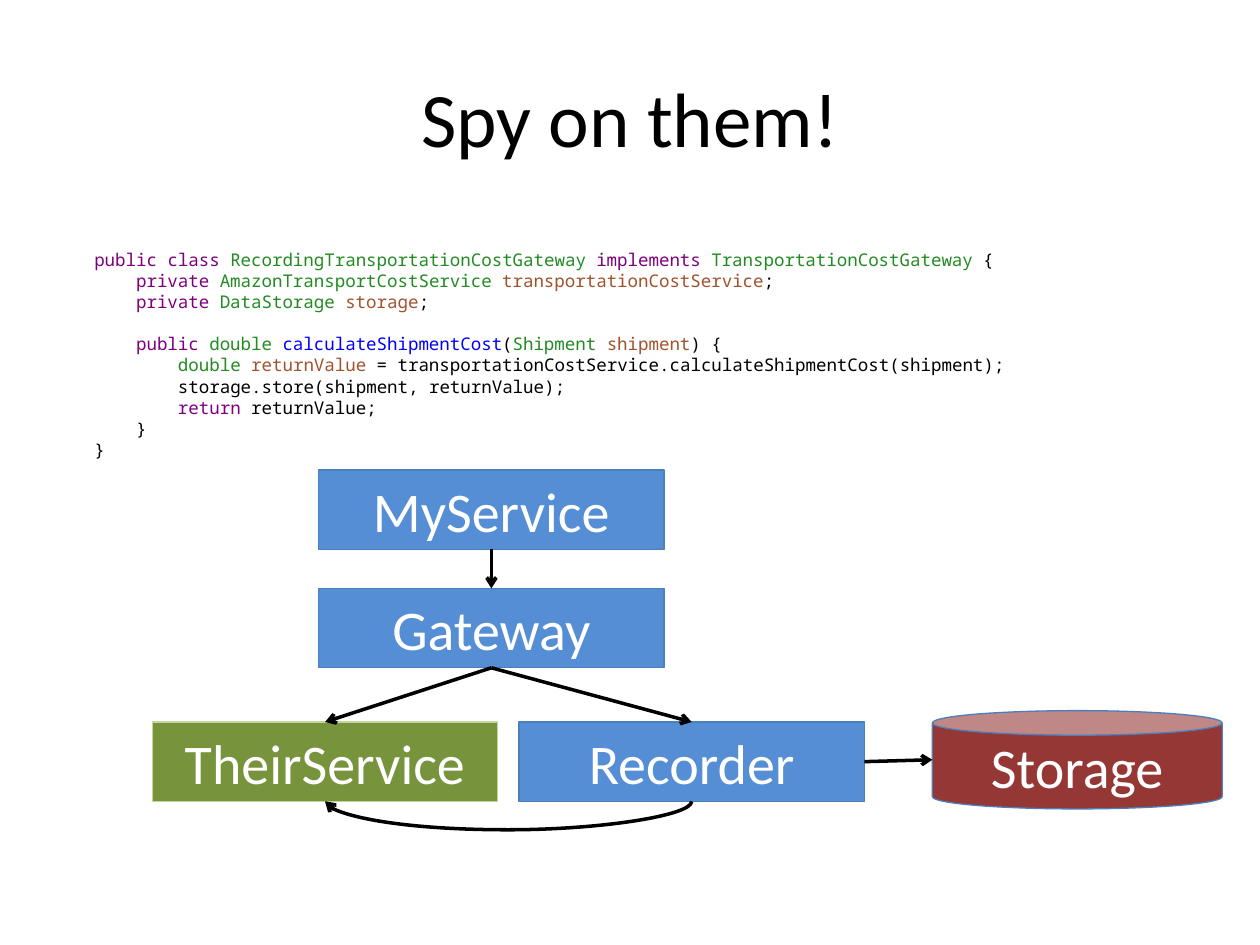
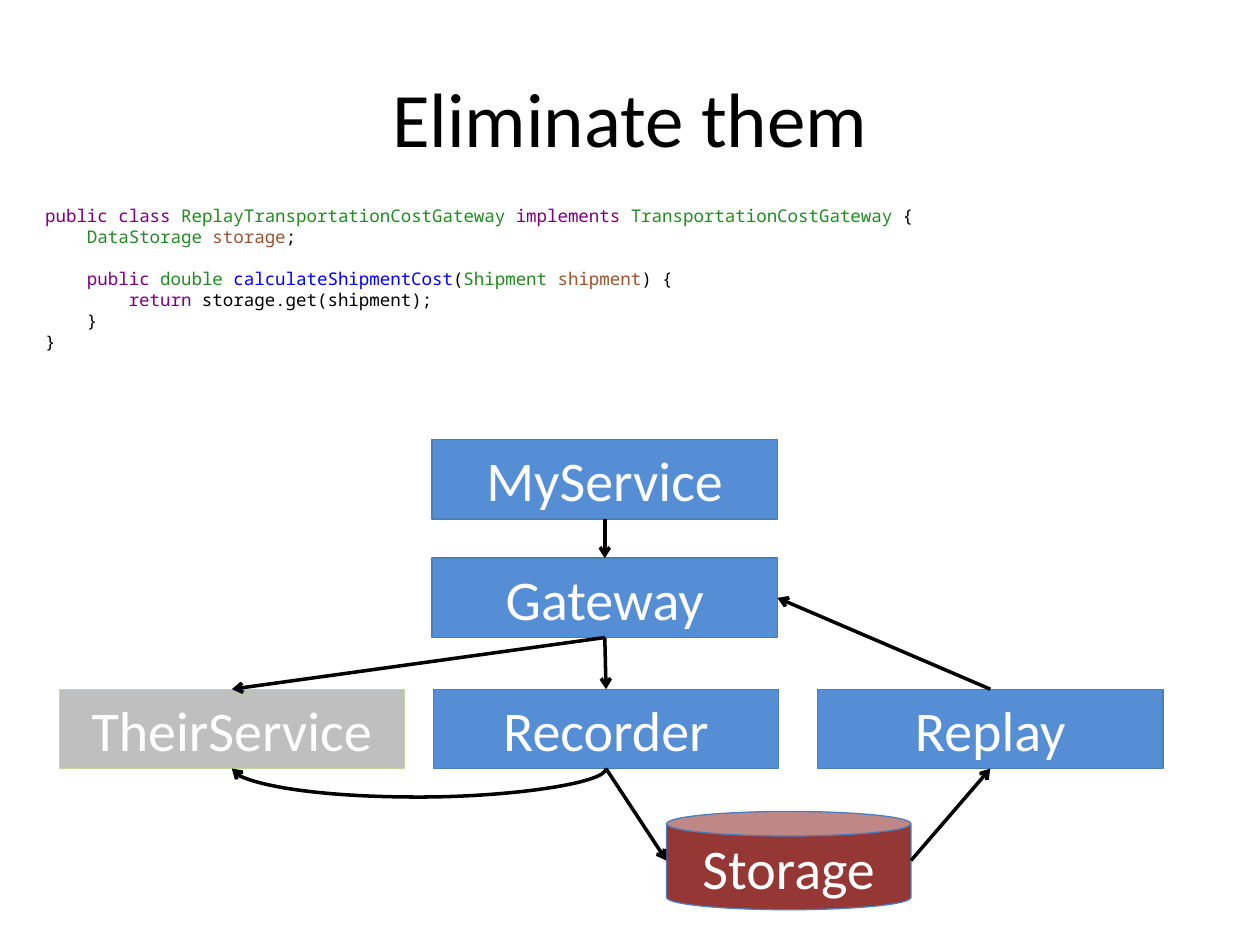
"""Build two slides that pair gateway code with a diagram of its services."""
from dataclasses import dataclass
from enum import Enum
from itertools import groupby

import lxml.etree
import pptx
import pptx.dml.color
import pptx.enum.shapes
import pptx.enum.text
import pptx.oxml.ns
import pptx.util
from pptx.util import Inches

BLACK, WHITE = "000000", "FFFFFF"
BLUE, GREEN, GREY, RED = "558ED5", "77933C", "BFBFBF", "953735"
BLUE_EDGE, GREEN_EDGE = "4B7EBC", "C3D69B"
KEYWORD, TYPE, METHOD, VARIABLE = "7F007F", "228B22", "0000FF", "A0522D"
KEYWORDS = {"public", "private", "class", "implements", "return"}
TEXT_FONT, CODE_FONT = "Calibri", "Noto Sans Mono"
BOX_WIDTH, BOX_HEIGHT, CAN_HEIGHT = 2.74, 0.63, 0.78
CURVE_THICKNESS, CURVE_BEND = 1200, -19050000


class Side(Enum):
    """A connection site of a rectangle, by its index."""
    TOP = 0
    LEFT = 1
    BOTTOM = 2
    RIGHT = 3


@dataclass(frozen=True)
class Node:
    """A labelled box or storage can."""
    label: str
    left: float
    top: float
    fill: str = BLUE
    edge: str = BLUE_EDGE
    width: float = BOX_WIDTH
    is_can: bool = False


@dataclass(frozen=True)
class Arrow:
    """An arrow from a side of one node to a side of another."""
    source: str
    source_side: Side
    target: str
    target_side: Side
    curved: bool = False


@dataclass(frozen=True)
class CodeBlock:
    """A code listing and the place of its text box."""
    left: float
    top: float
    width: float
    height: float
    source: str


@dataclass(frozen=True)
class DiagramSlide:
    """The full content of one slide."""
    title: str
    code: CodeBlock
    nodes: list[Node]
    arrows: list[Arrow]


SHARED_ARROWS = [
    Arrow("MyService", Side.BOTTOM, "Gateway", Side.TOP),
    Arrow("Gateway", Side.BOTTOM, "TheirService", Side.TOP),
    Arrow("Gateway", Side.BOTTOM, "Recorder", Side.TOP),
    Arrow("Recorder", Side.BOTTOM, "TheirService", Side.BOTTOM, curved=True),
]

SLIDES = [
    DiagramSlide(
        "Spy on them!",
        CodeBlock(0.65, 1.93, 7.52, 2.12, """\
public class RecordingTransportationCostGateway implements TransportationCostGateway {
    private AmazonTransportCostService transportationCostService;
    private DataStorage storage;

    public double calculateShipmentCost(Shipment shipment) {
        double returnValue = transportationCostService.calculateShipmentCost(shipment);
        storage.store(shipment, returnValue);
        return returnValue;
    }
}"""),
        [
            Node("MyService", 2.53, 3.73),
            Node("Gateway", 2.53, 4.67),
            Node("TheirService", 1.21, 5.73, GREEN, GREEN_EDGE),
            Node("Recorder", 4.12, 5.73),
            Node("Storage", 7.4, 5.64, RED, width=2.3, is_can=True),
        ],
        SHARED_ARROWS + [Arrow("Recorder", Side.RIGHT, "Storage", Side.LEFT)],
    ),
    DiagramSlide(
        "Eliminate them",
        CodeBlock(0.26, 1.58, 7.19, 1.28, """\
public class ReplayTransportationCostGateway implements TransportationCostGateway {
    DataStorage storage;

    public double calculateShipmentCost(Shipment shipment) {
        return storage.get(shipment);
    }
}"""),
        [
            Node("MyService", 3.43, 3.49),
            Node("Gateway", 3.43, 4.43),
            Node("TheirService", 0.47, 5.47, GREY, GREEN_EDGE),
            Node("Recorder", 3.44, 5.47),
            Node("Replay", 6.49, 5.47),
            Node("Storage", 5.29, 6.44, RED, width=1.94, is_can=True),
        ],
        SHARED_ARROWS + [
            Arrow("Recorder", Side.BOTTOM, "Storage", Side.LEFT),
            Arrow("Storage", Side.RIGHT, "Replay", Side.BOTTOM),
            Arrow("Replay", Side.TOP, "Gateway", Side.RIGHT),
        ],
    ),
]


def color(value: str) -> pptx.dml.color.RGBColor:
    return pptx.dml.color.RGBColor.from_string(value)


def format_paragraph(paragraph, size: float, font_name: str, font_color: str) -> None:
    paragraph.font.size = pptx.util.Pt(size)
    paragraph.font.name = font_name
    paragraph.font.color.rgb = color(font_color)


def add_title(slide, text: str) -> None:
    title = slide.shapes.title
    title.left, title.top = Inches(0.5), Inches(0.3)
    title.width, title.height = Inches(9), Inches(1.25)
    title.text_frame.text = text
    title.text_frame.vertical_anchor = pptx.enum.text.MSO_ANCHOR.MIDDLE
    paragraph = title.text_frame.paragraphs[0]
    paragraph.alignment = pptx.enum.text.PP_ALIGN.CENTER
    format_paragraph(paragraph, 44, TEXT_FONT, BLACK)


def color_tokens(line: str) -> list[tuple[str, str]]:
    tokens = ["".join(group) for _, group in groupby(line, str.isalnum)]
    colored, after_type = [], False
    for token, following in zip(tokens, tokens[1:] + [""]):
        token_color = BLACK
        if token.isalnum():
            is_type = token == "double" or token[0].isupper()
            if token in KEYWORDS:
                token_color = KEYWORD
            elif is_type:
                token_color = TYPE
            elif after_type:
                token_color = METHOD if following.startswith("(") else VARIABLE
            after_type = is_type
        colored.append((token, token_color))
    return colored


def add_code(slide, code: CodeBlock) -> None:
    box = slide.shapes.add_textbox(
        Inches(code.left), Inches(code.top), Inches(code.width), Inches(code.height))
    frame = box.text_frame
    frame.word_wrap = False
    frame.auto_size = pptx.enum.text.MSO_AUTO_SIZE.SHAPE_TO_FIT_TEXT
    paragraph, after_gap = frame.paragraphs[0], False
    for index, line in enumerate(code.source.splitlines()):
        if not line:
            after_gap = True
            continue
        if index:
            paragraph = frame.add_paragraph()
        if after_gap:
            paragraph.space_before = pptx.util.Pt(12)
            after_gap = False
        format_paragraph(paragraph, 10, CODE_FONT, BLACK)
        for token, token_color in color_tokens(line):
            run = paragraph.add_run()
            run.text = token
            run.font.color.rgb = color(token_color)


def add_node(slide, node: Node):
    kinds = pptx.enum.shapes.MSO_SHAPE
    shape = slide.shapes.add_shape(
        kinds.CAN if node.is_can else kinds.RECTANGLE,
        Inches(node.left), Inches(node.top), Inches(node.width),
        Inches(CAN_HEIGHT if node.is_can else BOX_HEIGHT))
    shape.shadow.inherit = False
    shape.fill.solid()
    shape.fill.fore_color.rgb = color(node.fill)
    shape.line.color.rgb = color(node.edge)
    shape.line.width = pptx.util.Pt(0.75)
    shape.text_frame.text = node.label
    shape.text_frame.vertical_anchor = pptx.enum.text.MSO_ANCHOR.MIDDLE
    paragraph = shape.text_frame.paragraphs[0]
    paragraph.alignment = pptx.enum.text.PP_ALIGN.CENTER
    format_paragraph(paragraph, 32, TEXT_FONT, WHITE)
    return shape


def side_point(shape, side: Side) -> tuple[int, int]:
    across, down = {Side.TOP: (1, 0), Side.LEFT: (0, 1),
                    Side.BOTTOM: (1, 2), Side.RIGHT: (2, 1)}[side]
    return shape.left + shape.width * across // 2, shape.top + shape.height * down // 2


def bend_below(connector) -> None:
    """Turn a level connector a quarter round so that its curve hangs below."""
    center, level, span = connector.left + connector.width // 2, connector.top, connector.width
    connector.left, connector.top = center - CURVE_THICKNESS // 2, level - span // 2
    connector.width, connector.height = CURVE_THICKNESS, span
    properties = connector._element.spPr
    properties.find(pptx.oxml.ns.qn("a:xfrm")).set("rot", "5400000")
    adjustments = properties.find(".//" + pptx.oxml.ns.qn("a:avLst"))
    lxml.etree.SubElement(adjustments, pptx.oxml.ns.qn("a:gd"),
                          name="adj1", fmla=f"val {CURVE_BEND}")


def add_arrow(slide, arrow: Arrow, shapes: dict, cans: set[str]) -> None:
    kinds = pptx.enum.shapes.MSO_CONNECTOR
    source, target = shapes[arrow.source], shapes[arrow.target]
    connector = slide.shapes.add_connector(
        kinds.CURVE if arrow.curved else kinds.STRAIGHT,
        *side_point(source, arrow.source_side), *side_point(target, arrow.target_side))
    if arrow.source not in cans:
        connector.begin_connect(source, arrow.source_side.value)
    if arrow.target not in cans:
        connector.end_connect(target, arrow.target_side.value)
    if arrow.curved:
        bend_below(connector)
    connector.line.color.rgb = color(BLACK)
    connector.line.width = pptx.util.Pt(2)
    line = connector.line._get_or_add_ln()
    lxml.etree.SubElement(line, pptx.oxml.ns.qn("a:tailEnd"), type="arrow")
    lxml.etree.SubElement(connector._element.spPr, pptx.oxml.ns.qn("a:effectLst"))


def add_diagram_slide(presentation, content: DiagramSlide) -> None:
    slide = presentation.slides.add_slide(presentation.slide_layouts[5])
    add_title(slide, content.title)
    shapes = {node.label: add_node(slide, node) for node in content.nodes}
    cans = {node.label for node in content.nodes if node.is_can}
    for arrow in content.arrows:
        add_arrow(slide, arrow, shapes, cans)
    add_code(slide, content.code)


def main() -> None:
    presentation = pptx.Presentation()
    presentation.slide_width, presentation.slide_height = Inches(10), Inches(7.5)
    for content in SLIDES:
        add_diagram_slide(presentation, content)
    presentation.save("out.pptx")


if __name__ == "__main__":
    main()
